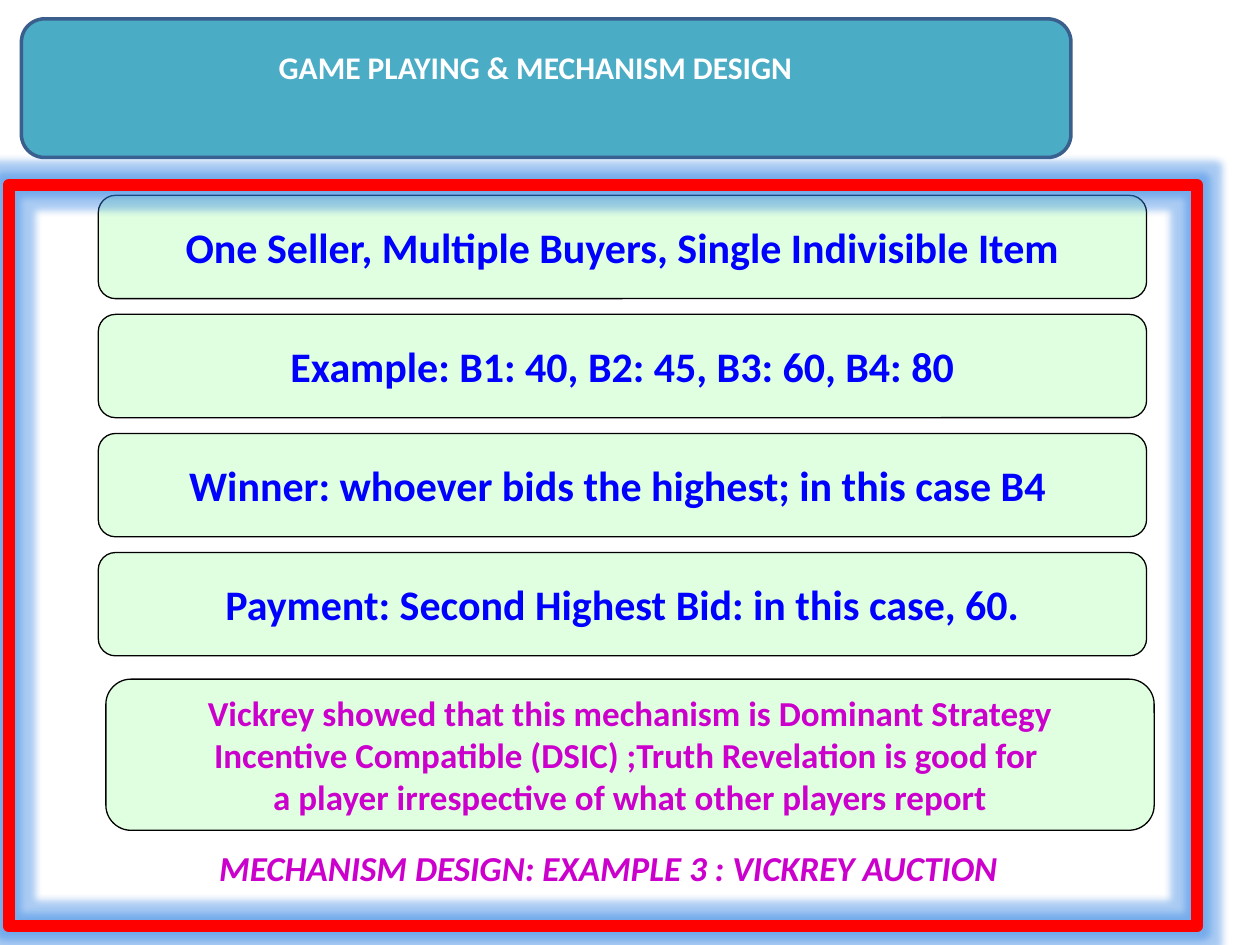
from lxml.etree import SubElement
from pptx import Presentation
from pptx.dml.color import RGBColor
from pptx.enum.shapes import MSO_SHAPE as Shape
from pptx.enum.text import MSO_ANCHOR as Anchor, PP_ALIGN as Align
from pptx.oxml.ns import qn
from pptx.util import Inches, Pt

TITLE = "GAME PLAYING & MECHANISM DESIGN"
CAPTION = "MECHANISM DESIGN: EXAMPLE 3 : VICKREY AUCTION"
STEPS = [
    "One Seller, Multiple Buyers, Single Indivisible Item",
    "Example: B1: 40, B2: 45, B3: 60, B4: 80",
    "Winner: whoever bids the highest; in this case B4 ",
    "Payment: Second Highest Bid: in this case, 60.",
]
CONCLUSION = [
    "Vickrey showed that this mechanism is Dominant Strategy",
    "Incentive Compatible (DSIC) ;Truth Revelation is good for ",
    "a player irrespective of what other players report",
]
COLORS = {
    "banner": "4BACC6", "banner_line": "3A5F8C", "frame": "FF0000",
    "glow": "2A7DE1", "card": "CCFFCC", "card_line": "000000",
    "step": "0000FF", "accent": "CC00CC", "title": "FFFFFF",
}
CARD_LEFT, CARD_WIDTH, CARD_HEIGHT = 0.78, 8.32, 0.82
FIRST_TOP, CARD_PITCH = 1.55, 0.945


def rgb(name):
    return RGBColor.from_string(COLORS[name])


def add_alpha(color_element, percent):
    SubElement(color_element, qn("a:alpha"), val=str(percent * 1000))


def write(shape, lines, size, color, italic=False):
    text_frame = shape.text_frame
    text_frame.text = "\n".join(lines)
    for paragraph in text_frame.paragraphs:
        paragraph.alignment = Align.CENTER
        font = paragraph.runs[0].font
        font.name, font.size, font.bold, font.italic = "Calibri", Pt(size), True, italic
        font.color.rgb = rgb(color)


def add_box(slide, kind, box, line, line_width, fill=None):
    shape = slide.shapes.add_shape(kind, *map(Inches, box))
    shape.shadow.inherit = False
    shape.line.color.rgb = rgb(line)
    shape.line.width = Pt(line_width)
    if fill:
        shape.fill.solid()
        shape.fill.fore_color.rgb = rgb(fill)
    else:
        shape.fill.background()
    return shape


def add_card(slide, box, lines, size, color):
    card = add_box(slide, Shape.ROUNDED_RECTANGLE, box, "card_line", 0.75, "card")
    add_alpha(card.fill._xPr.find(f".//{qn('a:srgbClr')}"), 60)
    card.text_frame.word_wrap = False
    card.text_frame.vertical_anchor = Anchor.MIDDLE
    write(card, lines, size, color)


def add_label(slide, box, text, size, color, italic=False):
    label = slide.shapes.add_textbox(*map(Inches, box))
    label.text_frame.word_wrap = True
    write(label, [text], size, color, italic)


presentation = Presentation()
presentation.slide_width, presentation.slide_height = Inches(10), Inches(7.5)
slide = presentation.slides.add_slide(presentation.slide_layouts[6])

# Caption and cards
add_label(slide, (0.67, 6.67, 8.32, 0.44), CAPTION, 20, "accent", italic=True)
for index, step in enumerate(STEPS):
    top = FIRST_TOP + index * CARD_PITCH
    add_card(slide, (CARD_LEFT, top, CARD_WIDTH, CARD_HEIGHT), [step], 24, "step")
add_card(slide, (0.84, 5.39, CARD_WIDTH, 1.2), CONCLUSION, 20, "accent")

# Title banner and glowing frame
add_box(slide, Shape.ROUNDED_RECTANGLE, (0.17, 0.15, 8.33, 1.1),
        "banner_line", 2, "banner")
frame = add_box(slide, Shape.RECTANGLE, (0.07, 1.47, 9.43, 5.88), "frame", 7)
effects = frame._element.spPr.find(qn("a:effectLst"))
glow = SubElement(effects, qn("a:glow"), rad=str(Pt(8)))
add_alpha(SubElement(glow, qn("a:srgbClr"), val=COLORS["glow"]), 40)
add_label(slide, (0.75, 0.33, 7, 0.4), TITLE, 18, "title")

presentation.save("out.pptx")
